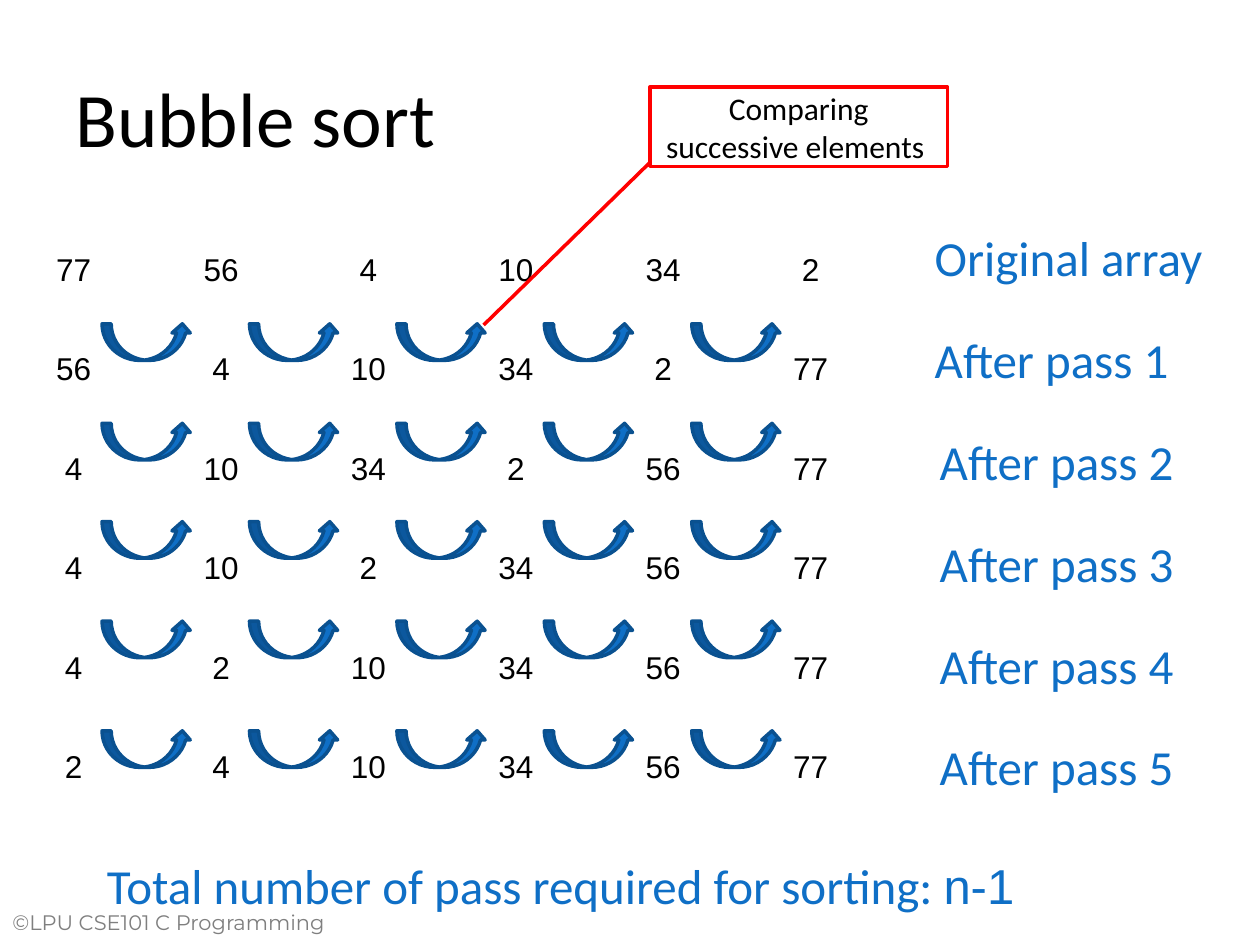
from pptx import Presentation
from pptx.dml.color import RGBColor
from pptx.enum.shapes import MSO_SHAPE
from pptx.enum.text import MSO_ANCHOR, PP_ALIGN
from pptx.util import Inches, Pt

BLUE = RGBColor(0x0F, 0x6F, 0xC6)
NAVY = RGBColor(0x0A, 0x51, 0x90)
RED = RGBColor(0xFF, 0x00, 0x00)
GRAY = RGBColor(0x7F, 0x7F, 0x7F)
BLACK = RGBColor(0x00, 0x00, 0x00)
MIDDLE = MSO_ANCHOR.MIDDLE
CENTER = PP_ALIGN.CENTER
CURVED = MSO_SHAPE.CURVED_UP_ARROW
CALLOUT = MSO_SHAPE.LINE_CALLOUT_1

COL = 1.17
ROW = 0.79
PASSES = [
    [77, 56, 4, 10, 34, 2],
    [56, 4, 10, 34, 2, 77],
    [4, 10, 34, 2, 56, 77],
    [4, 10, 2, 34, 56, 77],
    [4, 2, 10, 34, 56, 77],
    [2, 4, 10, 34, 56, 77],
]
ARROW_TOPS = [2.57, 3.36, 4.14, 4.93, 5.8]


def style(run, size, color, face="Calibri"):
    run.font.size = Pt(size)
    run.font.color.rgb = color
    run.font.name = face
    run.font.bold = False


def add_text(slide, text, box, size, color, face="Calibri"):
    """Add a wrapped text box and return its text frame."""
    frame = slide.shapes.add_textbox(*map(Inches, box)).text_frame
    frame.word_wrap = True
    frame.text = text
    style(frame.paragraphs[0].runs[0], size, color, face)
    return frame


def add_labels(slide):
    for i in range(len(PASSES)):
        text = f"After pass {i}" if i else "Original array"
        left = 7.32 if i < 2 else 7.36
        add_text(slide, text, (left, 1.76 + i * 0.808, 2.48, 0.57), 28, BLUE)


def add_grid(slide):
    """Show the array after each pass, one row a pass."""
    rows, cols = len(PASSES), len(PASSES[0])
    table = slide.shapes.add_table(
        rows, cols, Inches(0), Inches(1.75),
        Inches(cols * COL), Inches(rows * ROW)).table
    table.first_row = False
    table.horz_banding = False
    for r, values in enumerate(PASSES):
        for c, value in enumerate(values):
            cell = table.cell(r, c)
            cell.fill.background()
            cell.vertical_anchor = MIDDLE
            cell.text = str(value)
            para = cell.text_frame.paragraphs[0]
            para.alignment = CENTER
            style(para.runs[0], 18, BLACK, "Arial")


def add_arrow(slide, left, top):
    arrow = slide.shapes.add_shape(
        CURVED, Inches(left), Inches(top), Inches(0.71), Inches(0.29))
    arrow.shadow.inherit = False
    arrow.fill.solid()
    arrow.fill.fore_color.rgb = BLUE
    arrow.line.color.rgb = NAVY
    arrow.line.width = Pt(2)


def add_callout(slide):
    """Add the boxed remark whose line leads to a swap arrow."""
    note = slide.shapes.add_shape(
        CALLOUT, Inches(5.16), Inches(0.69), Inches(2.36), Inches(0.63))
    # Line start and end, as (y, x) shares of the box
    for i, share in enumerate((0.95, 0, 3, -0.56)):
        note.adjustments[i] = share
    note.shadow.inherit = False
    note.fill.background()
    note.line.color.rgb = RED
    note.line.width = Pt(2)
    frame = note.text_frame
    frame.word_wrap = True
    frame.vertical_anchor = MIDDLE
    frame.text = "Comparing successive elements "
    para = frame.paragraphs[0]
    para.alignment = CENTER
    style(para.runs[0], 18, BLACK)


def main():
    deck = Presentation()
    deck.slide_width = Inches(10)
    deck.slide_height = Inches(7.5)
    slide = deck.slides.add_slide(deck.slide_layouts[6])

    add_text(slide, "©LPU CSE101 C Programming", (0, 7.17, 3, 0.42),
             12, GRAY, "Montserrat")
    title = add_text(slide, "Bubble sort", (0.5, 0.3, 9, 1.25), 44, BLACK)
    title.vertical_anchor = MIDDLE
    add_labels(slide)
    total = add_text(slide, "Total number of pass required for sorting: ",
                     (0.75, 6.74, 7.64, 0.57), 28, BLUE)
    count = total.paragraphs[0].add_run()
    count.text = "n-1"
    style(count, 28, BLUE, "Arial")
    add_grid(slide)
    for top in ARROW_TOPS:
        for c in range(len(PASSES[0]) - 1):
            add_arrow(slide, 0.81 + c * COL, top)
    add_callout(slide)
    deck.save("out.pptx")


if __name__ == "__main__":
    main()
